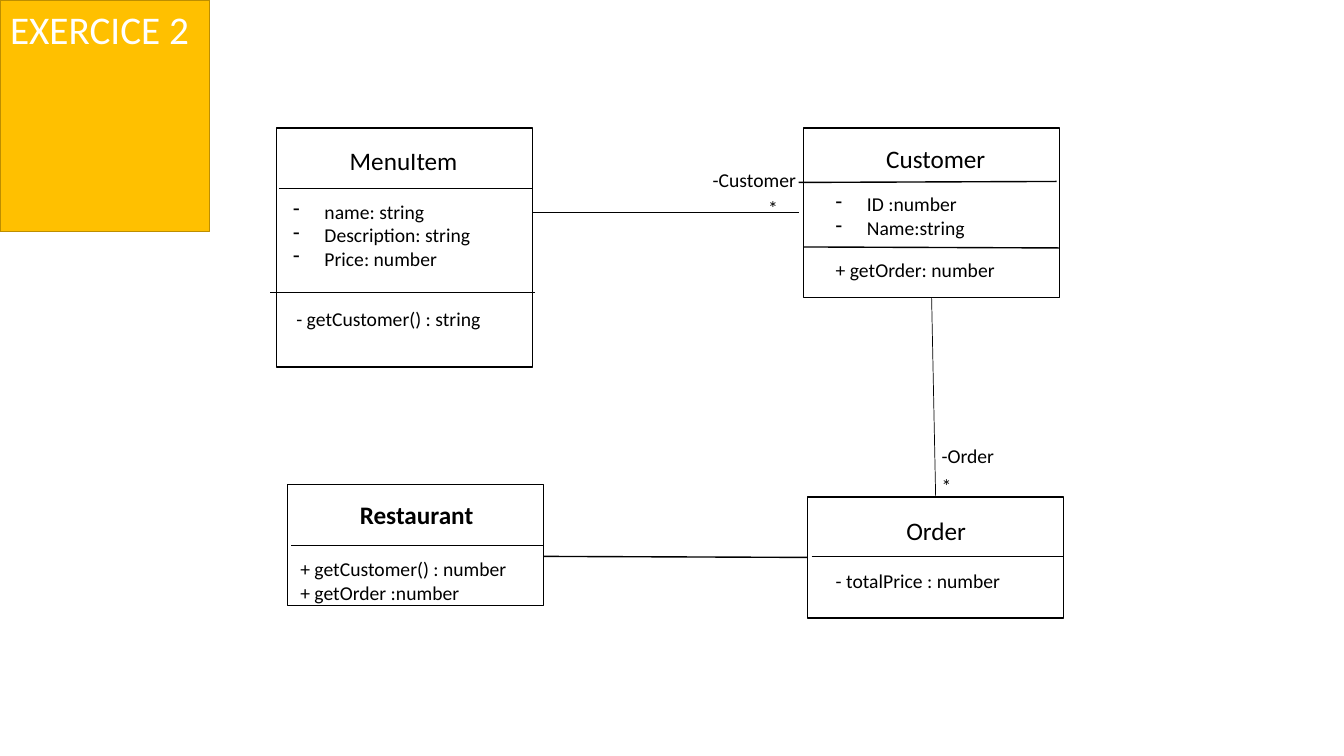
import pptx
import pptx.dml.color
import pptx.enum.shapes
import pptx.enum.text
import pptx.oxml.ns
import pptx.util
from lxml import etree

PX = 9144  # EMU in one px, 100 px to the inch
FONT = "Calibri"
BLACK, WHITE, AMBER, DARK_AMBER = "000000", "FFFFFF", "FFC000", "BD8E00"
CLASS_WIDTH = 254
BULLET_INDENT = 31


def px(*lengths):
    return [pptx.util.Emu(length * PX) for length in lengths]


def color(hex_string):
    return pptx.dml.color.RGBColor.from_string(hex_string)


def paint(shape, fill, line):
    shape.fill.solid()
    shape.fill.fore_color.rgb = color(fill)
    shape.line.color.rgb = color(line)
    shape.line.width = pptx.util.Pt(1)


def add_dash(para):
    properties = para._p.get_or_add_pPr()
    indent = px(BULLET_INDENT)[0]
    properties.set("marL", str(indent))
    properties.set("indent", str(-indent))
    bullet = etree.SubElement(properties, pptx.oxml.ns.qn("a:buChar"))
    bullet.set("char", "-")


def write(shape, lines, size=14, ink=BLACK, bold=False, dashed=False):
    frame = shape.text_frame
    frame.word_wrap = False
    frame.auto_size = pptx.enum.text.MSO_AUTO_SIZE.SHAPE_TO_FIT_TEXT
    frame.vertical_anchor = pptx.enum.text.MSO_ANCHOR.TOP
    frame.text = "\n".join(lines)
    for para in frame.paragraphs:
        para.alignment = pptx.enum.text.PP_ALIGN.LEFT
        if dashed:
            add_dash(para)
        for span in para.runs:
            span.font.name = FONT
            span.font.size = pptx.util.Pt(size)
            span.font.bold = bold
            span.font.color.rgb = color(ink)


def add_label(page, place, *lines, **style):
    box = page.shapes.add_textbox(*px(*place))
    write(box, lines, **style)


def add_line(page, start, end, width=1):
    line = page.shapes.add_connector(
        pptx.enum.shapes.MSO_CONNECTOR.STRAIGHT, *px(*start, *end))
    line.line.color.rgb = color(BLACK)
    line.line.width = pptx.util.Pt(width)
    etree.SubElement(line._element.spPr, pptx.oxml.ns.qn("a:effectLst"))
    return line


def add_class(page, left, top, height, name, name_place, dividers, bold=False):
    box = page.shapes.add_shape(
        pptx.enum.shapes.MSO_SHAPE.RECTANGLE, *px(left, top, CLASS_WIDTH, height))
    box.shadow.inherit = False
    paint(box, WHITE, BLACK)
    for start, end in dividers:
        add_line(page, start, end)
    add_label(page, name_place, name, size=18, bold=bold)
    return box


def add_title(page):
    title = page.shapes.title
    title.left, title.top, title.width, title.height = px(0, 0, 208, 57)
    paint(title, AMBER, DARK_AMBER)
    write(title, ["EXERCICE 2"], size=28, ink=WHITE)


def main():
    deck = pptx.Presentation()
    deck.slide_width, deck.slide_height = px(1333, 750)
    page = deck.slides.add_slide(deck.slide_layouts[5])
    add_title(page)

    # Classes with their dividers
    add_class(page, 274, 127, 237, "MenuItem", (337, 139, 128, 40),
              [((277, 187), (528, 187)), ((268, 290), (531, 290))])
    customer = add_class(page, 797, 127, 168, "Customer", (869, 137, 121, 40),
                         [((792, 181), (1048, 180)), ((797, 245), (1051, 246))])
    order = add_class(page, 801, 493, 120, "Order", (889, 506, 81, 40),
                      [((805, 552), (1055, 552))])
    add_class(page, 285, 481, 120, "Restaurant", (347, 490, 134, 40),
              [((289, 541), (539, 541))], bold=True)

    # Attributes and methods
    add_label(page, (281, 193, 198, 81), "name: string", "Description: string",
              "Price: number", dashed=True)
    add_label(page, (284, 300, 205, 34), "- getCustomer() : string")
    add_label(page, (819, 186, 150, 57), "ID :number", "Name:string", dashed=True)
    add_label(page, (819, 251, 179, 34), "+ getOrder: number")
    add_label(page, (819, 559, 185, 34), "- totalPrice : number")
    add_label(page, (288, 548, 227, 57), "+ getCustomer() : number",
              "+ getOrder :number")

    # Associations
    add_line(page, (529, 211), (792, 211))
    restaurant_order = add_line(page, (539, 552), (802, 552))
    restaurant_order.end_connect(order, 1)
    customer_order = add_line(page, (924, 295), (927, 491), width=0.5)
    customer_order.begin_connect(customer, 2)
    customer_order.end_connect(order, 0)

    # Roles and multiplicities
    add_label(page, (697, 162, 104, 34), "-Customer")
    add_label(page, (752, 189, 30, 34), "*")
    add_label(page, (924, 435, 73, 34), "-Order")
    add_label(page, (924, 465, 30, 34), "*")

    deck.save("out.pptx")


if __name__ == "__main__":
    main()
